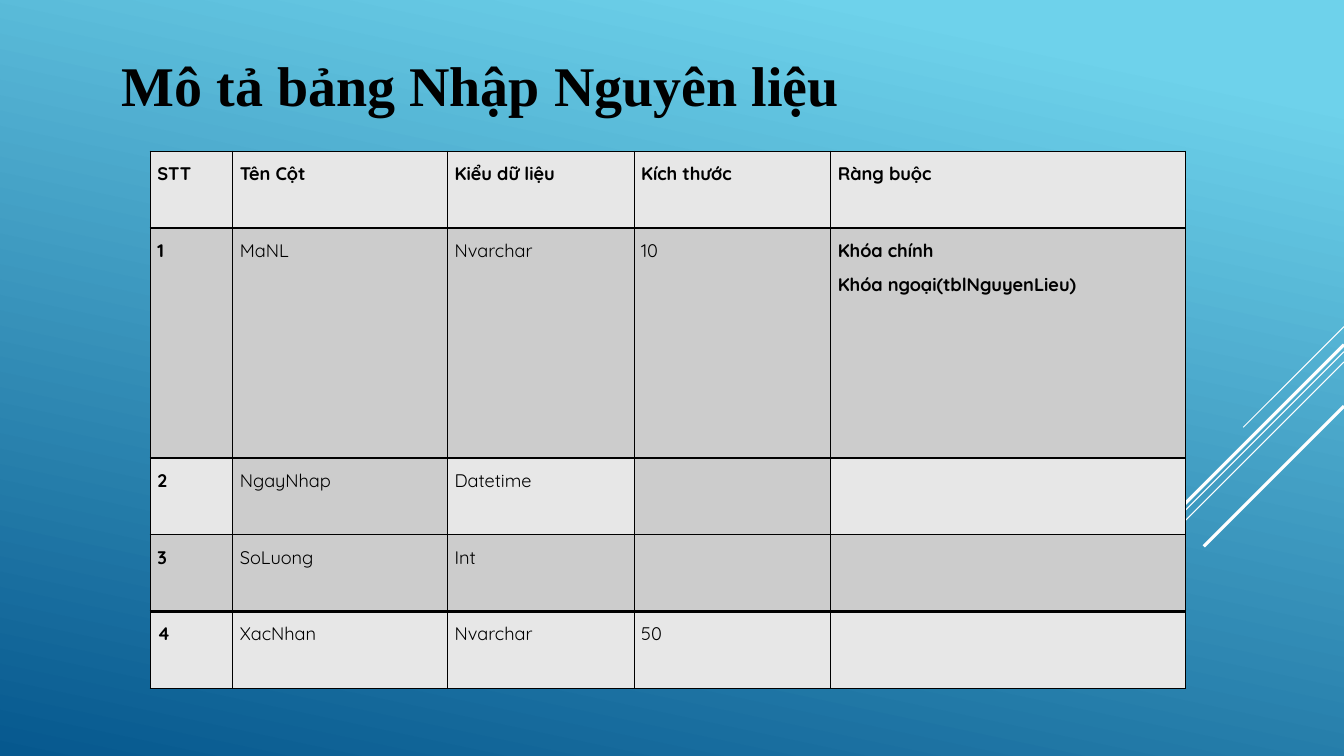
import lxml.etree
import pptx
import pptx.dml.color
import pptx.enum.shapes
import pptx.enum.text
import pptx.oxml.ns
import pptx.util


def color(value):
    return pptx.dml.color.RGBColor.from_string(value)


def qn(tag):
    return pptx.oxml.ns.qn(tag)


class Deck:
    ink = "000000"
    body_font = "Quicksand"
    body_size = 13
    title_font = "Times New Roman"
    title_size = 40
    cell_inset = pptx.util.Inches(0.07)

    def __init__(self):
        self.prs = pptx.Presentation()
        self.prs.slide_width = pptx.util.Inches(13.33)
        self.prs.slide_height = pptx.util.Inches(7.5)
        self.s = self.prs.slides.add_slide(self.prs.slide_layouts[6])

    def x(self, percent):
        return round(self.prs.slide_width * percent / 100)

    def y(self, percent):
        return round(self.prs.slide_height * percent / 100)

    def background(self, stops, angle):
        fill = self.s.background.fill
        fill.gradient()
        fill.gradient_angle = 360 - angle
        for stop, (position, value) in zip(fill.gradient_stops, stops):
            stop.position = position
            stop.color.rgb = color(value)

    def diagonal(self, top, run, width):
        right, start, span = self.x(100), self.y(top), self.x(run)
        line = self.s.shapes.add_connector(
            pptx.enum.shapes.MSO_CONNECTOR.STRAIGHT,
            right, start, right - span, start + span)
        line.line.color.rgb = color("FFFFFF")
        line.line.width = pptx.util.Pt(width)
        lxml.etree.SubElement(line._element.spPr, qn("a:effectLst"))

    def run(self, p, text, font, size, bold):
        r = p.add_run()
        r.text = text
        r.font.name = font
        r.font.size = pptx.util.Pt(size)
        r.font.bold = bold
        r.font.color.rgb = color(self.ink)

    def title(self, text, left, top, width, height):
        sp = self.s.shapes.add_textbox(
            self.x(left), self.y(top), self.x(width), self.y(height))
        tf = sp.text_frame
        tf.word_wrap = False
        tf.auto_size = pptx.enum.text.MSO_AUTO_SIZE.SHAPE_TO_FIT_TEXT
        self.run(tf.paragraphs[0], text, self.title_font, self.title_size, True)

    def borders(self, cell, widths):
        tc_pr = cell._tc.get_or_add_tcPr()
        for index, (side, width) in enumerate(widths.items()):
            ln = lxml.etree.Element(
                qn("a:ln" + side), w=str(pptx.util.Pt(width)))
            fill = lxml.etree.SubElement(ln, qn("a:solidFill"))
            lxml.etree.SubElement(fill, qn("a:srgbClr"), val=self.ink)
            tc_pr.insert(index, ln)

    def cell(self, cell, text, fill, bold, widths):
        cell.fill.solid()
        cell.fill.fore_color.rgb = color(fill)
        cell.margin_left = cell.margin_right = self.cell_inset
        cell.margin_top = cell.margin_bottom = 0
        self.borders(cell, widths)
        if not text:
            return
        tf = cell.text_frame
        for i, line in enumerate(text.split("\n")):
            p = tf.add_paragraph() if i else tf.paragraphs[0]
            p.alignment = pptx.enum.text.PP_ALIGN.JUSTIFY
            p.line_spacing = 1.5
            self.run(p, line, self.body_font, self.body_size, bold)

    def table(self, rows, fills, left, top, widths, heights):
        table = self.s.shapes.add_table(
            len(rows), len(widths), self.x(left), self.y(top),
            self.x(sum(widths)), self.y(sum(heights))).table
        table.first_row = table.horz_banding = False
        for column, width in zip(table.columns, widths):
            column.width = self.x(width)
        for row, height in zip(table.rows, heights):
            row.height = self.y(height)
        last_row, last_col = len(rows) - 1, len(widths) - 1
        for i, texts in enumerate(rows):
            sides = {"L": 1, "R": 1,
                     "T": 2 if i == last_row else 1,
                     "B": 2 if i == last_row - 1 else 1}
            for j, text in enumerate(texts):
                bold = i == 0 or j in (0, last_col)
                self.cell(table.cell(i, j), text, fills[i][j], bold, sides)


def main():
    deck = Deck()
    deck.background([(0.1, "6ED2EB"), (1, "06588E")], 102)

    for top, run, width in [(43.2, 7.5, 0.75), (46.53, 24.45, 0.75),
                            (47.87, 15.53, 0.75), (45.6, 14.33, 2.25),
                            (53.73, 10.43, 2.25)]:
        deck.diagonal(top, run, width)

    light, dark = "E7E7E7", "CCCCCC"
    rows = [
        ["STT", "Tên Cột", "Kiểu dữ liệu", "Kích thước", "Ràng buộc"],
        ["1", "MaNL", "Nvarchar", "10",
         "Khóa chính\nKhóa ngoại(tblNguyenLieu)"],
        ["2", "NgayNhap", "Datetime", "", ""],
        ["3", "SoLuong", "Int", "", ""],
        ["4", "XacNhan", "Nvarchar", "50", ""],
    ]
    fills = [[light] * 5, [dark] * 5, [light, dark, light, dark, light],
             [dark] * 5, [light] * 5]
    deck.table(rows, fills, 11.18, 20,
               [6.15, 15.98, 13.88, 14.63, 26.4],
               [10.15, 30.45, 10.15, 10.15, 10.15])

    deck.title("Mô tả bảng Nhập Nguyên liệu", 8.33, 6, 55.43, 10.27)
    deck.prs.save("out.pptx")


if __name__ == "__main__":
    main()
